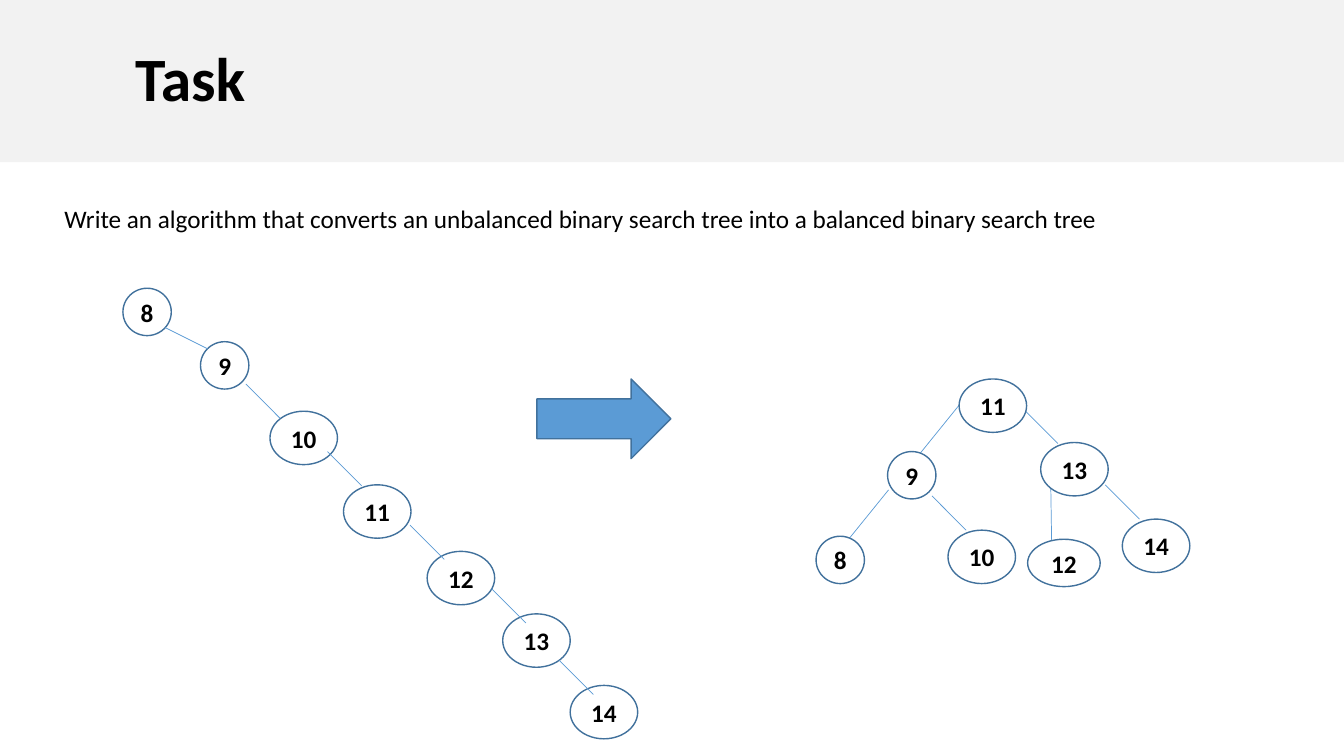
from lxml import etree
from pptx import Presentation
from pptx.dml.color import RGBColor
from pptx.enum.shapes import MSO_CONNECTOR, MSO_SHAPE
from pptx.enum.text import MSO_ANCHOR, PP_ALIGN
from pptx.oxml.ns import qn
from pptx.util import Emu, Pt

STRAIGHT = MSO_CONNECTOR.STRAIGHT
OVAL, RIGHT_ARROW = MSO_SHAPE.OVAL, MSO_SHAPE.RIGHT_ARROW
LEFT, CENTER = PP_ALIGN.LEFT, PP_ALIGN.CENTER
MIDDLE = MSO_ANCHOR.MIDDLE

BLACK = RGBColor(0x00, 0x00, 0x00)
WHITE = RGBColor(0xFF, 0xFF, 0xFF)
BAND = RGBColor(0xF2, 0xF2, 0xF2)
BLUE = RGBColor(0x5B, 0x9B, 0xD5)
OUTLINE = RGBColor(0x41, 0x71, 0x9C)

PX = 9144  # EMU per px, 100 px to the inch
TITLE_ONLY = 5
SMALL, LARGE, FLAT = (48, 47), (67, 53), (72, 47)  # node sizes
STEP = 34  # rise and run of a diagonal edge

# Nodes: key, left, top, size
UNBALANCED_NODES = [
    (8, 122, 286, SMALL), (9, 199, 339, SMALL), (10, 268, 408, LARGE),
    (11, 341, 481, LARGE), (12, 424, 547, LARGE), (13, 499, 609, LARGE),
    (14, 566, 680, LARGE),
]
BALANCED_NODES = [
    (11, 952, 376, LARGE), (9, 881, 448, SMALL), (13, 1033, 439, LARGE),
    (8, 810, 532, SMALL), (10, 941, 526, LARGE), (12, 1020, 535, FLAT),
    (14, 1114, 515, LARGE),
]
# Edges: start x, start y, run, rise
UNBALANCED_EDGES = [(164, 325, 42, 21)] + [
    (x, y, STEP, STEP)
    for x, y in [(244, 381), (325, 448), (407, 521), (488, 584), (555, 655)]
]
BALANCED_EDGES = [(952, 402, -47, 58), (882, 486, -47, 58), (1043, 484, 1, 63)] + [
    (x, y, STEP, STEP) for x, y in [(925, 492), (1016, 406), (1097, 481)]
]


def px(*values):
    return [Emu(v * PX) for v in values]


def write(tf, text, size=18, bold=False, align=LEFT, spacing=1.0):
    p = tf.paragraphs[0]
    p.alignment = align
    p.line_spacing = spacing
    r = p.add_run()
    r.text = text
    r.font.name = "Calibri"
    r.font.size = Pt(size)
    r.font.bold = bold
    r.font.color.rgb = BLACK


class TreeSlide:
    def __init__(self, prs):
        self.slide = prs.slides.add_slide(prs.slide_layouts[TITLE_ONLY])
        self.shapes = self.slide.shapes

    def title(self, text, width, height, indent):
        sp = self.shapes.title
        sp.left, sp.top, sp.width, sp.height = px(0, 0, width, height)
        sp.fill.solid()
        sp.fill.fore_color.rgb = BAND
        tf = sp.text_frame
        tf.vertical_anchor = MIDDLE
        tf.margin_left = px(indent)[0]
        write(tf, text, size=44, bold=True, spacing=0.9)

    def label(self, text, *box):
        tf = self.shapes.add_textbox(*px(*box)).text_frame
        tf.word_wrap = False
        write(tf, text)

    def shape(self, kind, fill, *box):
        sp = self.shapes.add_shape(kind, *px(*box))
        sp.shadow.inherit = False
        sp.fill.solid()
        sp.fill.fore_color.rgb = fill
        sp.line.color.rgb = OUTLINE
        sp.line.width = Pt(1)
        return sp

    def node(self, key, left, top, size):
        tf = self.shape(OVAL, WHITE, left, top, *size).text_frame
        tf.vertical_anchor = MIDDLE
        write(tf, str(key), bold=True, align=CENTER)

    def edge(self, x, y, run, rise):
        line = self.shapes.add_connector(STRAIGHT, *px(x, y, x + run, y + rise))
        line.line.color.rgb = BLUE
        line.line.width = Pt(0.5)
        etree.SubElement(line._element.spPr, qn("a:effectLst"))


def main():
    prs = Presentation()
    prs.slide_width, prs.slide_height = px(1334, 750)
    s = TreeSlide(prs)
    s.title("Task", 1334, 161, indent=134)
    s.label("Write an algorithm that converts an unbalanced binary search tree "
            "into a balanced binary search tree", 54, 197, 1048, 40)

    for node in UNBALANCED_NODES:
        s.node(*node)
    for edge in UNBALANCED_EDGES + BALANCED_EDGES:
        s.edge(*edge)
    s.shape(RIGHT_ARROW, BLUE, 533, 376, 133, 79)
    for node in BALANCED_NODES:
        s.node(*node)

    prs.save("out.pptx")


if __name__ == "__main__":
    main()
